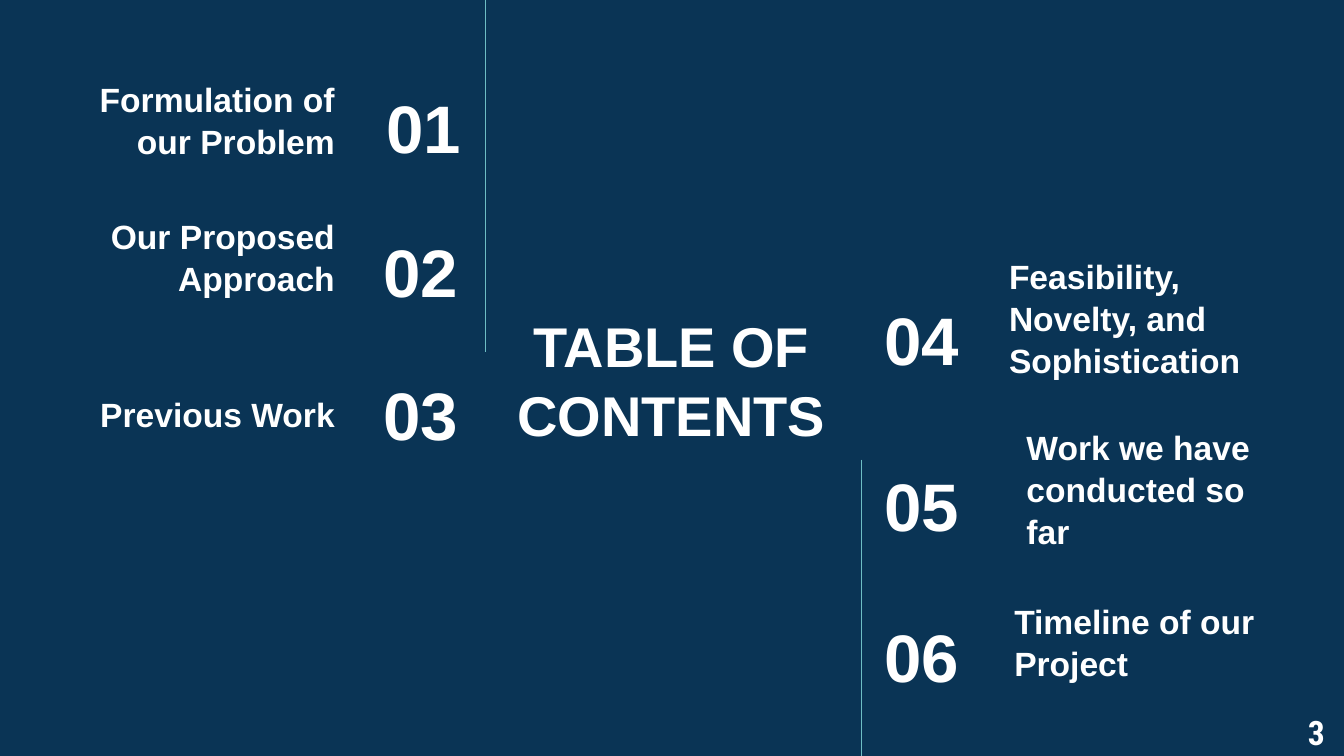
from dataclasses import dataclass
from pptx import Presentation
from pptx.dml.color import RGBColor as Rgb
from pptx.enum.shapes import MSO_CONNECTOR as Link
from pptx.enum.text import MSO_ANCHOR as Anchor, MSO_AUTO_SIZE as Fit, PP_ALIGN as Align
from pptx.oxml.ns import qn
from pptx.util import Cm, Pt
from lxml.etree import SubElement as Sub


@dataclass(frozen=True)
class Theme:
    back: Rgb = Rgb(0x0A, 0x34, 0x55)
    ink: Rgb = Rgb(0xFF, 0xFF, 0xFF)
    rule: Rgb = Rgb(0x6E, 0xBD, 0xC4)
    font: str = "Arial"
    slim: str = "Roboto Condensed"
    head: int = 30
    index: int = 36
    label: int = 18
    inset: float = 0.25
    lead: float = 1.04


class Page:
    def __init__(self, slide, theme):
        self.slide, self.theme = slide, theme
        fill = slide.background.fill
        fill.solid()
        fill.fore_color.rgb = theme.back

    def style(self, shape, text, size, align, anchor, font=None):
        t = self.theme
        frame = shape.text_frame
        frame.text = text
        frame.word_wrap = True
        frame.auto_size = Fit.NONE
        frame.vertical_anchor = anchor
        frame.margin_left = frame.margin_right = Cm(t.inset)
        frame.margin_top = frame.margin_bottom = Cm(t.inset)
        para = frame.paragraphs[0]
        para.alignment = align
        para.line_spacing = t.lead
        para.space_before = Pt(0)
        para.font.name = font or t.font
        para.font.size = Pt(size)
        para.font.bold = True
        para.font.color.rgb = t.ink

    def title(self, text, x, y, w, h):
        shape = self.slide.shapes.title
        shape.left, shape.top, shape.width, shape.height = map(Cm, (x, y, w, h))
        self.style(shape, text, self.theme.head, Align.CENTER, Anchor.MIDDLE)

    def text(self, text, x, y, w, h, size, align, anchor, font=None):
        box = self.slide.shapes.add_textbox(*map(Cm, (x, y, w, h)))
        self.style(box, text, size, align, anchor, font)

    def entry(self, index, label, align):
        """Add a number and its label, each given as (text, x, y, w, h)."""
        self.text(*index, self.theme.index, align, Anchor.MIDDLE)
        self.text(*label, self.theme.label, align, Anchor.BOTTOM)

    def rule(self, x, top, end):
        line = self.slide.shapes.add_connector(
            Link.STRAIGHT, Cm(x), Cm(top), Cm(x), Cm(end))
        line.line.color.rgb = self.theme.rule
        line.line.width = Pt(0.75)
        Sub(line._element.spPr, qn("a:effectLst"))


def main():
    deck = Presentation()
    wide, high = 25.4, 14.29
    deck.slide_width, deck.slide_height = Cm(wide), Cm(high)
    theme = Theme()
    page = Page(deck.slides.add_slide(deck.slide_layouts[5]), theme)

    # Heading in the middle
    page.title("TABLE OF CONTENTS", 9.4, 5.84, 6.58, 2.62)

    # Left column: number x and y, label y
    row, span = 1.6, 5.49
    left = [
        ("01", 5.89, 1.57, "Formulation of our Problem", 1.7),
        ("02", 5.84, 4.29, "Our Proposed Approach", 4.29),
        ("03", 5.84, 6.99, "Previous Work", 6.86),
    ]
    for num, x, y, label, base in left:
        page.entry((num, x, y, 3.07, row), (label, 1.09, base, span, row), Align.RIGHT)

    # Right column: number y and height, label x and y
    right = [
        ("04", 5.26, 2.24, "Feasibility, Novelty, and Sophistication", 18.82, 5.84),
        ("05", 8.71, row, "Work we have conducted so far", 19.15, 9.07),
        ("06", 11.56, row, "Timeline of our Project", 18.92, 11.56),
    ]
    for num, y, tall, label, x, base in right:
        page.entry((num, 16.46, y, 2.97, tall), (label, x, base, span, row), Align.LEFT)

    # Rules beside the columns
    page.rule(9.17, 0, 6.65)
    page.rule(16.28, 8.69, high)

    # Page number
    page.text("3", 23.77, 13.18, 1.52, 1.09, theme.label, Align.RIGHT, Anchor.TOP, theme.slim)

    deck.save("out.pptx")


if __name__ == "__main__":
    main()
